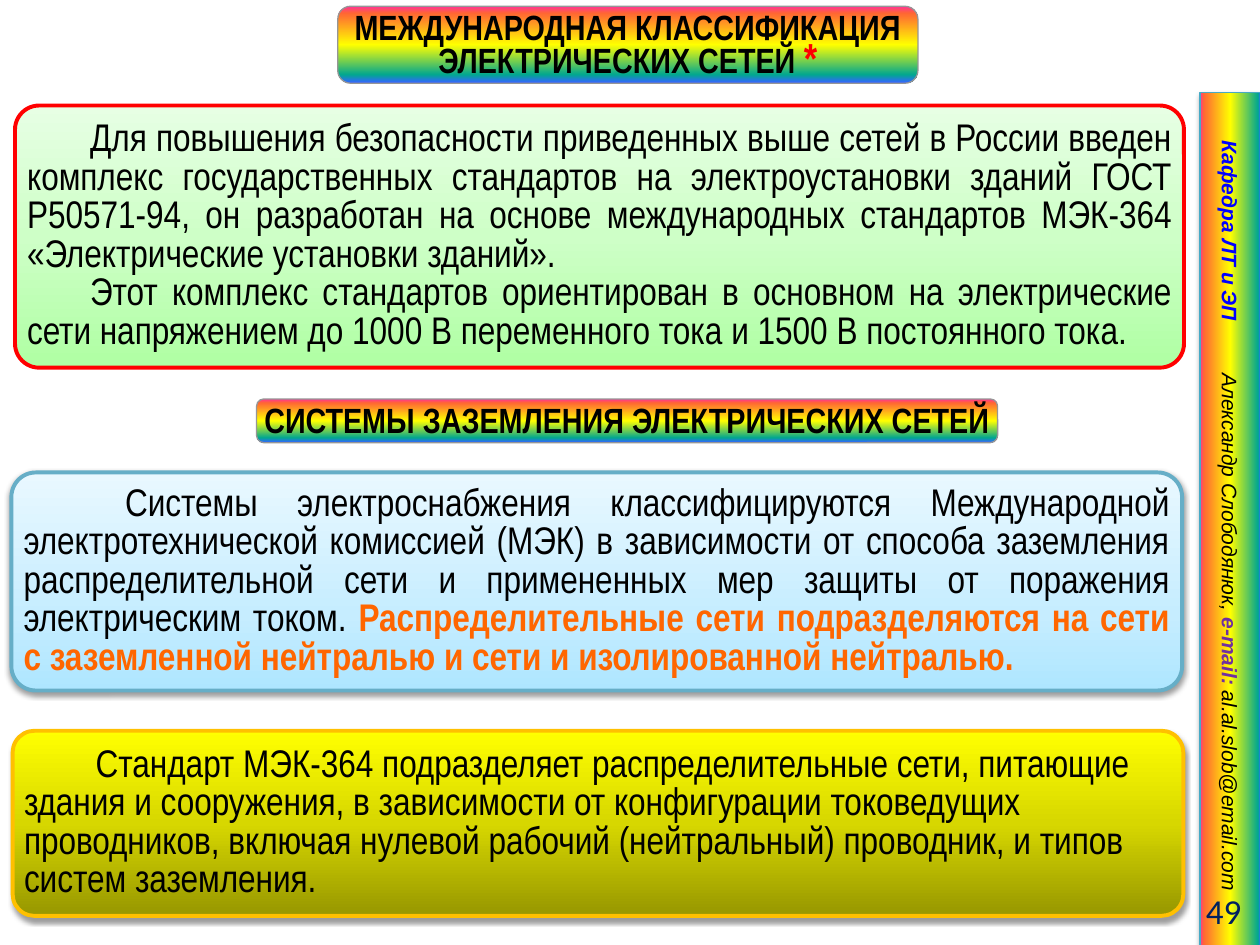
"""Build a slide on the classification and earthing of electrical networks."""
from lxml import etree
from pptx import Presentation
from pptx.dml.color import RGBColor
from pptx.enum import shapes, text
from pptx.oxml import ns
from pptx.util import Pt

BLACK = RGBColor(0x00, 0x00, 0x00)
RED = RGBColor(0xFF, 0x00, 0x00)
BLUE = RGBColor(0x00, 0x00, 0xFF)
NAVY = RGBColor(0x00, 0x20, 0x60)
PURPLE = RGBColor(0x70, 0x30, 0xA0)
ORANGE = RGBColor(0xFF, 0x66, 0x00)
GREY = RGBColor(0x96, 0x96, 0x96)
TEAL = RGBColor(0x46, 0xAA, 0xC5)
SKY = RGBColor(0x66, 0xAE, 0xC7)
GOLD = RGBColor(0xFF, 0xC0, 0x00)
PINK = RGBColor(0xFF, 0x33, 0x99)
CORAL = RGBColor(0xFF, 0x66, 0x33)
YELLOW = RGBColor(0xFF, 0xFF, 0x00)
GREEN = RGBColor(0x01, 0xA7, 0x8F)
AZURE = RGBColor(0x33, 0x66, 0xFF)
SIDE_FILL = [(0, PINK), (6, CORAL), (50, YELLOW), (96, GREEN), (100, AZURE)]
HEADING_FILL = [(0, PINK), (9, CORAL), (50, YELLOW), (89, GREEN), (99, AZURE)]
MINT_FILL = [(0, RGBColor(0xAF, 0xFF, 0xA3)), (50, RGBColor(0xCE, 0xFF, 0xC7)),
             (100, RGBColor(0xE7, 0xFF, 0xE4))]
ICE_FILL = [(0, RGBColor(0xAE, 0xE6, 0xFF)), (35, RGBColor(0xC6, 0xED, 0xFF)),
            (100, RGBColor(0xE9, 0xF8, 0xFF))]
OLIVE_FILL = [(0, RGBColor(0x97, 0x97, 0x00)), (50, RGBColor(0xD7, 0xD7, 0x00)),
              (100, YELLOW)]


def add_band(page, kind, place, stops, angle, edge, width, shadow):
    box = page.shapes.add_shape(kind, *[Pt(value) for value in place])
    box.fill.gradient()
    box.fill.gradient_angle = angle
    properties = box.element.spPr
    stop_list = properties.find(".//" + ns.qn("a:gsLst"))
    for stop in list(stop_list):
        stop_list.remove(stop)
    for position, color in stops:
        stop = etree.SubElement(stop_list, ns.qn("a:gs"), pos=str(position * 1000))
        etree.SubElement(stop, ns.qn("a:srgbClr"), val=str(color))
    box.line.color.rgb = edge
    box.line.width = Pt(width)
    box.shadow.inherit = False
    if shadow:
        effects = properties.find(ns.qn("a:effectLst"))
        outer = etree.SubElement(effects, ns.qn("a:outerShdw"), blurRad=str(Pt(3.1)),
                                 dist=str(Pt(1.6)), dir="5400000", rotWithShape="0")
        color = etree.SubElement(outer, ns.qn("a:srgbClr"), val=str(BLACK))
        etree.SubElement(color, ns.qn("a:alpha"), val="38000")
    box.text_frame.word_wrap = True
    box.text_frame.vertical_anchor = text.MSO_ANCHOR.MIDDLE
    return box


def add_span(para, words, size, font, color, bold=False, italic=False):
    span = para.add_run()
    span.text = words
    span.font.size = Pt(size)
    span.font.name = font
    span.font.color.rgb = color
    span.font.bold = bold
    span.font.italic = italic


deck = Presentation()
deck.slide_width, deck.slide_height = Pt(720), Pt(540)
page = deck.slides.add_slide(deck.slide_layouts[6])

sidebar = add_band(page, shapes.MSO_SHAPE.RECTANGLE, (459.3, 279.3, 487.5, 34.6),
                   SIDE_FILL, 90, TEAL, 0.75, True)
sidebar.rotation = 90
sidebar.text_frame.margin_left = Pt(27.5)
sidebar.text_frame.margin_right = Pt(0)
para = sidebar.text_frame.paragraphs[0]
para.alignment = text.PP_ALIGN.LEFT
tabs = etree.SubElement(para._p.get_or_add_pPr(), ns.qn("a:tabLst"))
etree.SubElement(tabs, ns.qn("a:tab"), pos=str(Pt(133)), algn="l")
for words, color, bold in [
    ("Кафедра ЛТ и ЭП\t", BLUE, True),
    ("Александр Слободянюк, ", BLACK, False),
    ("e-mail: ", PURPLE, True),
    ("al.al.slob@email.com", BLACK, False),
]:
    add_span(para, words, 12, "Arial", color, bold, True)

number = page.shapes.add_textbox(Pt(638), Pt(506), Pt(78.5), Pt(29))
number.text_frame.word_wrap = True
number.text_frame.vertical_anchor = text.MSO_ANCHOR.MIDDLE
para = number.text_frame.paragraphs[0]
para.alignment = text.PP_ALIGN.RIGHT
add_span(para, "49", 20, "Calibri", NAVY)

headings = [
    ((193, 3.6, 331.5, 44),
     [("МЕЖДУНАРОДНАЯ КЛАССИФИКАЦИЯ ЭЛЕКТРИЧЕСКИХ СЕТЕЙ ", 20, BLACK), ("*", 24, RED)]),
    ((146.6, 228, 423.5, 25),
     [("СИСТЕМЫ ЗАЗЕМЛЕНИЯ ЭЛЕКТРИЧЕСКИХ СЕТЕЙ", 20, BLACK)]),
]
for place, spans in headings:
    box = add_band(page, shapes.MSO_SHAPE.ROUNDED_RECTANGLE, place,
                   HEADING_FILL, 270, GREY, 0.75, False)
    frame = box.text_frame
    frame.margin_left = frame.margin_right = Pt(2.5)
    frame.margin_top, frame.margin_bottom = Pt(2.88), Pt(0)
    para = frame.paragraphs[0]
    para.alignment = text.PP_ALIGN.CENTER
    para.line_spacing = Pt(20)
    for words, size, color in spans:
        add_span(para, words, size, "Arial Narrow", color, True)

panels = [
    ((7.2, 417.6, 669, 105.8), 0.118, OLIVE_FILL, GOLD, True, text.PP_ALIGN.LEFT, 41, [
        [("Стандарт МЭК-364 подразделяет распределительные сети, питающие здания и "
          "сооружения, в зависимости от конфигурации токоведущих проводников, включая "
          "нулевой рабочий (нейтральный) проводник, и типов систем заземления.", BLACK)],
    ]),
    ((6.5, 270, 669, 124.6), 0.112, ICE_FILL, SKY, True, text.PP_ALIGN.JUSTIFY, 58, [
        [("Системы электроснабжения классифицируются Международной электротехнической "
          "комиссией (МЭК) в зависимости от способа заземления распределительной сети и "
          "примененных мер защиты от поражения электрическим током. ", BLACK),
         ("Распределительные сети подразделяются на сети с заземленной нейтралью и сети "
          "и изолированной нейтралью.", ORANGE)],
    ]),
    ((8.6, 60.3, 668, 149.8), 0.092, MINT_FILL, RED, False, text.PP_ALIGN.JUSTIFY, 36, [
        [("Для повышения безопасности приведенных выше сетей в России введен комплекс "
          "государственных стандартов на электроустановки зданий ГОСТ Р50571-94, он "
          "разработан на основе международных стандартов МЭК-364 «Электрические "
          "установки зданий».", BLACK)],
        [("Этот комплекс стандартов ориентирован в основном на электрические сети "
          "напряжением до 1000 В переменного тока и 1500 В постоянного тока.", BLACK)],
    ]),
]
for place, corner, stops, edge, shadow, alignment, indent, paragraphs in panels:
    box = add_band(page, shapes.MSO_SHAPE.ROUNDED_RECTANGLE, place,
                   stops, 90, edge, 2.25, shadow)
    box.adjustments[0] = corner
    frame = box.text_frame
    frame.margin_left = frame.margin_right = Pt(2.88)
    frame.margin_top = frame.margin_bottom = Pt(2.88)
    for index, spans in enumerate(paragraphs):
        para = frame.add_paragraph() if index else frame.paragraphs[0]
        para.alignment = alignment
        para.line_spacing = Pt(22)
        para._p.get_or_add_pPr().set("indent", str(Pt(indent)))
        for words, color in spans:
            add_span(para, words, 22, "Arial Narrow", color, color == ORANGE)

deck.save("out.pptx")
